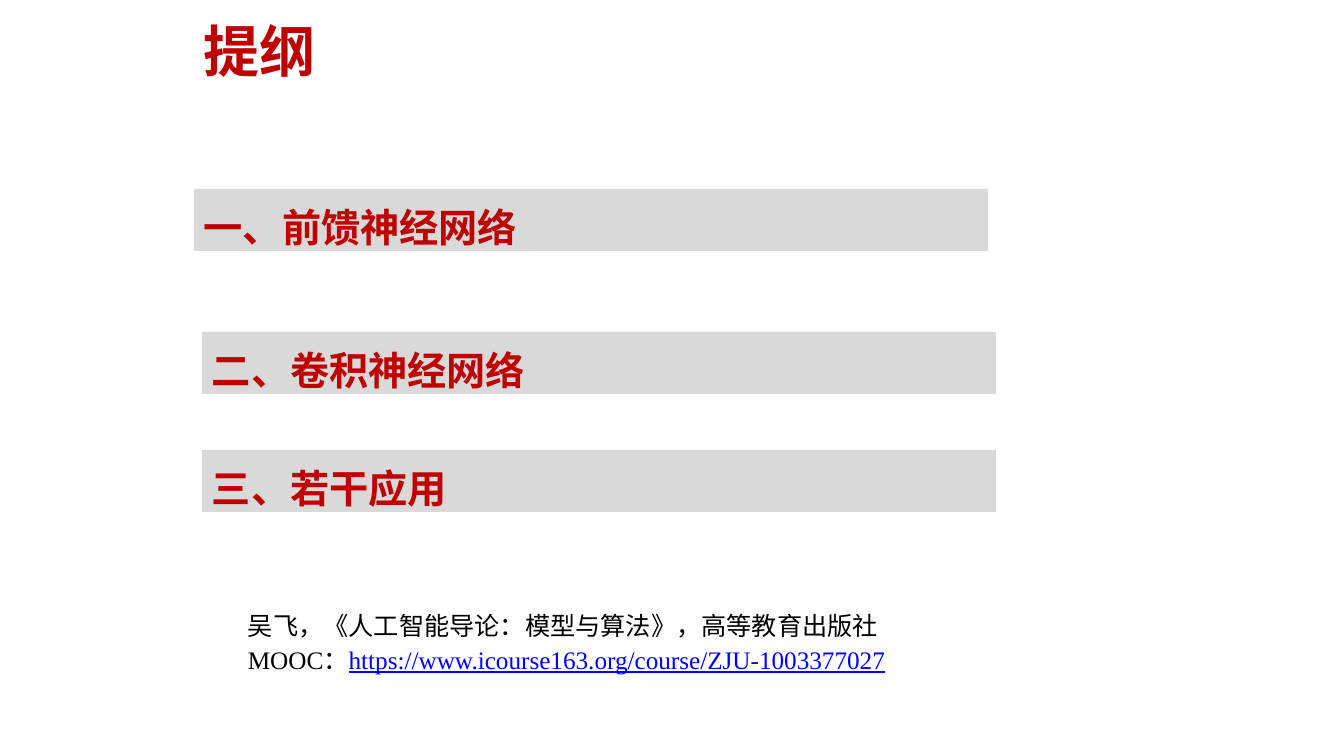
from dataclasses import dataclass

import pptx
import pptx.dml.color
import pptx.enum.lang
import pptx.enum.shapes
import pptx.enum.text
import pptx.util

EMU_PER_PX = 914400 / 100.8
FONT = "Times New Roman"
RED = pptx.dml.color.RGBColor(0xC0, 0x00, 0x00)
GRAY = pptx.dml.color.RGBColor(0xD9, 0xD9, 0xD9)
BLACK = pptx.dml.color.RGBColor(0x00, 0x00, 0x00)
BLUE = pptx.dml.color.RGBColor(0x00, 0x00, 0xFF)
CHINESE = pptx.enum.lang.MSO_LANGUAGE_ID.SIMPLIFIED_CHINESE


@dataclass(frozen=True)
class Chapter:
    text: str
    left: int
    top: int


CHAPTERS = [
    Chapter("一、前馈神经网络", 194, 189),
    Chapter("二、卷积神经网络", 202, 332),
    Chapter("三、若干应用", 202, 450),
]
CHAPTER_WIDTH = 794
CHAPTER_HEIGHT = 62


def px(length: int) -> pptx.util.Emu:
    return pptx.util.Emu(round(length * EMU_PER_PX))


def format_run(run, size: int, color: pptx.dml.color.RGBColor, bold: bool = False) -> None:
    run.font.name = FONT
    run.font.size = pptx.util.Pt(size)
    run.font.color.rgb = color
    run.font.bold = bold


def add_title(slide) -> None:
    shape = slide.shapes.add_textbox(px(194), px(0), px(722), px(100))
    text_frame = shape.text_frame
    text_frame.word_wrap = True
    text_frame.vertical_anchor = pptx.enum.text.MSO_ANCHOR.MIDDLE
    text_frame.text = "提纲"
    run = text_frame.paragraphs[0].runs[0]
    format_run(run, 40, RED, bold=True)
    run.font.language_id = CHINESE


def add_chapter(slide, chapter: Chapter) -> None:
    shape = slide.shapes.add_shape(
        pptx.enum.shapes.MSO_SHAPE.RECTANGLE,
        px(chapter.left), px(chapter.top), px(CHAPTER_WIDTH), px(CHAPTER_HEIGHT),
    )
    shape.shadow.inherit = False
    shape.fill.solid()
    shape.fill.fore_color.rgb = GRAY
    shape.line.fill.background()
    text_frame = shape.text_frame
    text_frame.word_wrap = True
    text_frame.auto_size = pptx.enum.text.MSO_AUTO_SIZE.SHAPE_TO_FIT_TEXT
    text_frame.vertical_anchor = pptx.enum.text.MSO_ANCHOR.TOP
    text_frame.text = chapter.text
    paragraph = text_frame.paragraphs[0]
    paragraph.alignment = pptx.enum.text.PP_ALIGN.LEFT
    paragraph.line_spacing = 1.2
    run = paragraph.runs[0]
    format_run(run, 28, RED, bold=True)
    run.font.language_id = CHINESE


def add_references(slide) -> None:
    shape = slide.shapes.add_textbox(px(238), px(619), px(841), px(62))
    text_frame = shape.text_frame
    text_frame.word_wrap = True
    text_frame.auto_size = pptx.enum.text.MSO_AUTO_SIZE.SHAPE_TO_FIT_TEXT
    text_frame.text = "吴飞，《人工智能导论：模型与算法》，高等教育出版社"
    book = text_frame.paragraphs[0]
    format_run(book.runs[0], 18, BLACK)
    book.runs[0].font.language_id = CHINESE

    course = text_frame.add_paragraph()
    course.text = "MOOC："
    course.space_before = pptx.util.Pt(12)
    format_run(course.runs[0], 18, BLACK)
    address = course.add_run()
    address.text = "https://www.icourse163.org/course/ZJU-1003377027"
    format_run(address, 18, BLUE)
    address.font.underline = True

    for paragraph in text_frame.paragraphs:
        paragraph.line_spacing = pptx.util.Pt(12)


def main() -> None:
    presentation = pptx.Presentation()
    presentation.slide_width = px(1344)
    presentation.slide_height = px(756)
    slide = presentation.slides.add_slide(presentation.slide_layouts[6])
    add_title(slide)
    for chapter in CHAPTERS:
        add_chapter(slide, chapter)
    add_references(slide)
    presentation.save("out.pptx")


if __name__ == "__main__":
    main()
